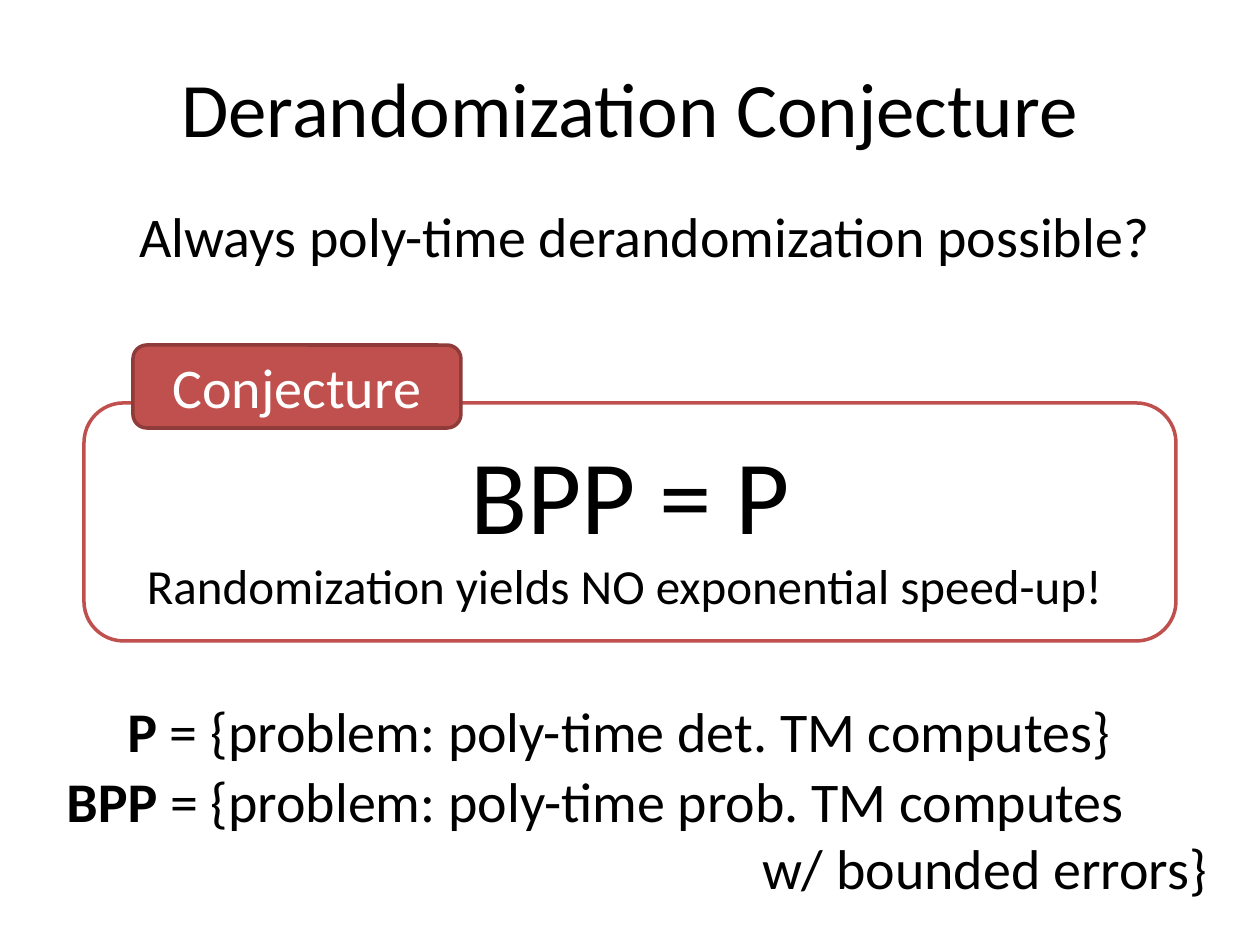
import pptx
import pptx.dml.color
import pptx.enum.shapes
import pptx.enum.text
import pptx.util

PX = 914400 / 126
COLORS = {"text": "000000", "paper": "FFFFFF", "accent": "C0504D", "edge": "8E3B39"}
ALIGN = pptx.enum.text.PP_ALIGN
ANCHOR = pptx.enum.text.MSO_ANCHOR


def px(value):
    return pptx.util.Emu(round(value * PX))


def rgb(name):
    return pptx.dml.color.RGBColor.from_string(COLORS[name])


def write(shape, lines, anchor=ANCHOR.MIDDLE, color="text"):
    """Fill a shape with lines of (alignment, size, [(text, bold), ...])."""
    frame = shape.text_frame
    frame.word_wrap = True
    frame.vertical_anchor = anchor
    for index, (alignment, size, runs) in enumerate(lines):
        paragraph = frame.add_paragraph() if index else frame.paragraphs[0]
        paragraph.alignment = alignment
        for text, bold in runs:
            run = paragraph.add_run()
            run.text = text
            run.font.color.rgb = rgb(color)
            formats = {"name": "Calibri", "size": pptx.util.Pt(size), "bold": bold}
            for attribute, value in formats.items():
                setattr(run.font, attribute, value)


def add_title(slide, box, text):
    title = slide.shapes.title
    for attribute, value in zip(("left", "top", "width", "height"), box):
        setattr(title, attribute, px(value))
    write(title, [(ALIGN.CENTER, 44, [(text, False)])])


def add_text(slide, box, lines):
    write(slide.shapes.add_textbox(*map(px, box)), lines, ANCHOR.TOP)


def add_panel(slide, box, fill, line):
    panel = slide.shapes.add_shape(
        pptx.enum.shapes.MSO_SHAPE.ROUNDED_RECTANGLE, *map(px, box))
    panel.shadow.inherit = False
    panel.fill.solid()
    panel.fill.fore_color.rgb = rgb(fill)
    panel.line.color.rgb = rgb(line)
    panel.line.width = pptx.util.Pt(2)
    return panel


def add_conjecture(slide, box):
    """Statement panel with a label overlapping its top edge."""
    left, top, _, _ = box
    statement = add_panel(slide, box, "paper", "accent")
    write(statement, [
        (ALIGN.CENTER, 60, [("BPP = P", False)]),
        (ALIGN.CENTER, 28, [("Randomization yields NO exponential speed-up! ", False)]),
    ])
    label = add_panel(slide, (left + 49, top - 58, 328, 83), "accent", "edge")
    write(label, [(ALIGN.CENTER, 32, [("Conjecture", False)])], color="paper")


def add_definitions(slide, box):
    left, top, width, height = box
    add_text(slide, (left + 61, top, width - 61, 81), [
        (ALIGN.LEFT, 32, [("P", True),
                          (" = {problem: poly-time det. TM computes}", False)]),
    ])
    add_text(slide, (left, top + 70, width, height - 70), [
        (ALIGN.LEFT, 32, [("BPP", True),
                          (" = {problem: poly-time prob. TM computes", False)]),
        (ALIGN.RIGHT, 32, [("w/ bounded errors}", False)]),
    ])


def main():
    presentation = pptx.Presentation()
    presentation.slide_width, presentation.slide_height = px(1260), px(945)
    slide = presentation.slides.add_slide(presentation.slide_layouts[5])
    add_title(slide, (63, 28, 1134, 157), "Derandomization Conjecture")
    add_conjecture(slide, (84, 403, 1092, 238))
    add_text(slide, (127, 195, 1048, 81), [
        (ALIGN.LEFT, 32, [("Always poly-time derandomization possible?", False)]),
    ])
    add_definitions(slide, (54, 690, 1166, 218))
    presentation.save("out.pptx")


if __name__ == "__main__":
    main()
